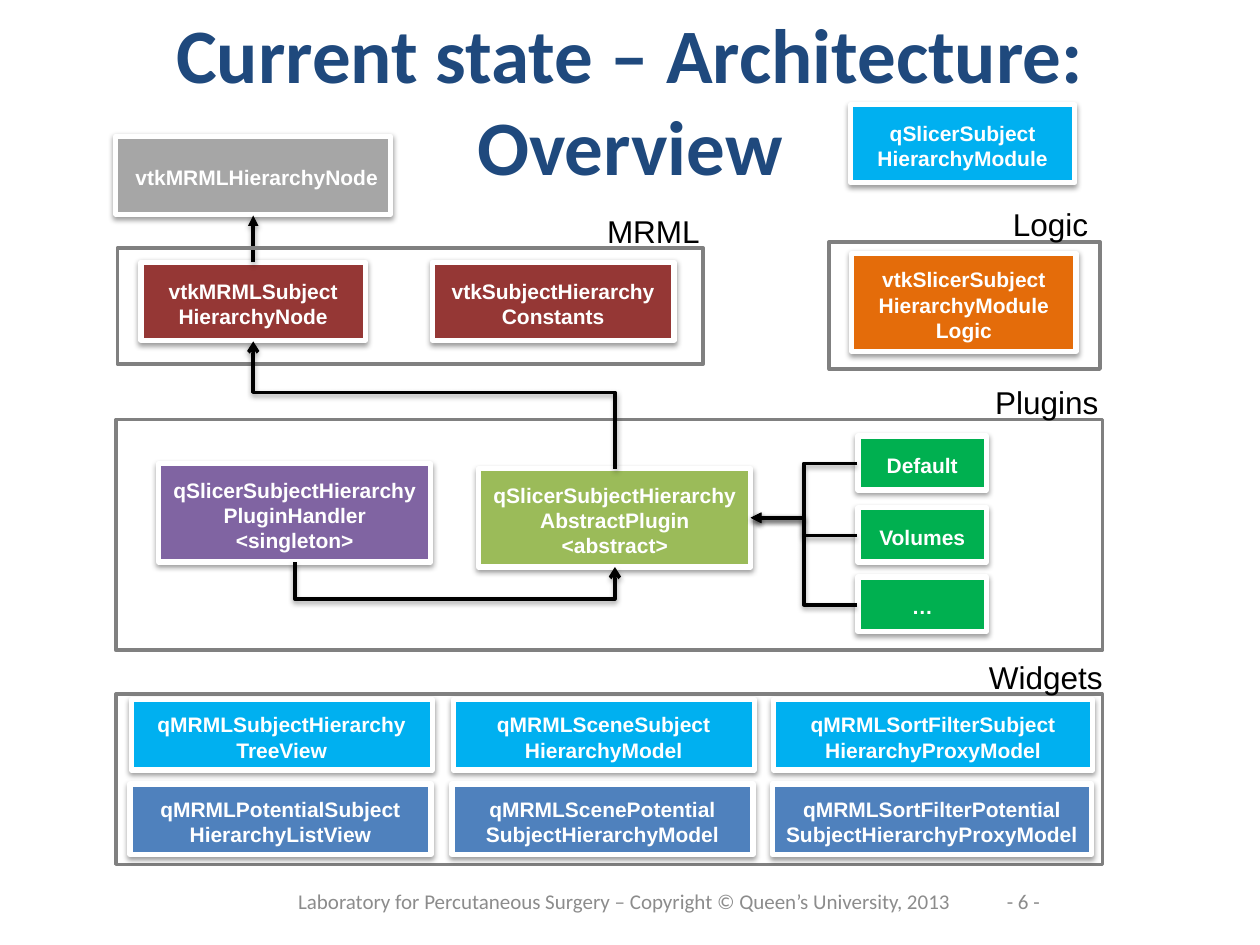
import pptx
import pptx.util
import pptx.dml.color
import pptx.enum.shapes
import pptx.enum.text
import pptx.oxml
import pptx.oxml.ns
import lxml.etree

Pt = pptx.util.Pt
Align = pptx.enum.text.PP_ALIGN
Anchor = pptx.enum.text.MSO_ANCHOR
Connector = pptx.enum.shapes.MSO_CONNECTOR
Rectangle = pptx.enum.shapes.MSO_SHAPE.RECTANGLE
qn = pptx.oxml.ns.qn

SHADOW = (
    '<a:effectLst xmlns:a="http://schemas.openxmlformats.org/drawingml/2006/main">'
    '<a:outerShdw blurRad="40000" dist="20000" dir="5400000" rotWithShape="0">'
    '<a:srgbClr val="000000"><a:alpha val="38000"/></a:srgbClr>'
    '</a:outerShdw></a:effectLst>'
)


def color(value):
    return pptx.dml.color.RGBColor.from_string(value)


class Diagram:
    font = "Arial"
    white, black, gray = "FFFFFF", "000000", "808080"

    def __init__(self, page):
        self.page = page

    def fill_text(self, holder, text, size, ink, font=None, bold=False,
                  align=Align.CENTER, anchor=Anchor.MIDDLE):
        frame = holder.text_frame
        frame.auto_size = pptx.enum.text.MSO_AUTO_SIZE.NONE
        frame.word_wrap = True
        frame.vertical_anchor = anchor
        para = frame.paragraphs[0]
        para.text = text.replace("\n", "\v")
        para.alignment = align
        para.font.name = font or self.font
        para.font.size = Pt(size)
        para.font.bold = bold
        para.font.color.rgb = color(ink)
        return frame

    def title(self, text, left, top, width, height):
        holder = self.page.shapes.title
        holder.left, holder.top = Pt(left), Pt(top)
        holder.width, holder.height = Pt(width), Pt(height)
        self.fill_text(holder, text, 44, "1F497D", "Calibri", True, anchor=Anchor.TOP)

    def text(self, text, left, top, width, height, size, ink, **style):
        holder = self.page.shapes.add_textbox(Pt(left), Pt(top), Pt(width), Pt(height))
        return self.fill_text(holder, text, size, ink, **style)

    def rectangle(self, left, top, width, height, line, weight):
        box = self.page.shapes.add_shape(Rectangle, Pt(left), Pt(top), Pt(width), Pt(height))
        box.shadow.inherit = False
        box.fill.background()
        box.line.color.rgb = color(line)
        box.line.width = Pt(weight)
        return box

    def shade(self, shape):
        properties = shape._element.spPr
        for effect in properties.findall(qn("a:effectLst")):
            properties.remove(effect)
        properties.append(pptx.oxml.parse_xml(SHADOW))

    def node(self, text, fill, left, top, width, height, align=Align.CENTER):
        box = self.rectangle(left, top, width, height, self.white, 3)
        box.fill.solid()
        box.fill.fore_color.rgb = color(fill)
        self.shade(box)
        frame = self.fill_text(box, text, 12, self.white, bold=True, align=align)
        frame.margin_left = frame.margin_right = Pt(0 if align == Align.CENTER else 7.2)
        frame.margin_top, frame.margin_bottom = Pt(2.5), Pt(0)

    def group(self, label, left, top, width, height, label_left, label_width):
        self.rectangle(left, top, width, height, self.gray, 2)
        frame = self.text(label, label_left, top - 24.4, label_width, 28.8, 18,
                          self.black, align=Align.LEFT, anchor=Anchor.TOP)
        frame.word_wrap = False

    def arrow(self, begin, end, head="triangle", bend=None, upright=False):
        (x1, y1), (x2, y2) = begin, end
        if upright:
            middle_x, middle_y = (x1 + x2) / 2, (y1 + y2) / 2
            across, down = y1 - y2, x2 - x1
            x1, x2 = middle_x - across / 2, middle_x + across / 2
            y1, y2 = middle_y - down / 2, middle_y + down / 2
        kind = Connector.STRAIGHT if bend is None else Connector.ELBOW
        link = self.page.shapes.add_connector(kind, Pt(x1), Pt(y1), Pt(x2), Pt(y2))
        link.line.color.rgb = color(self.black)
        link.line.width = Pt(2)
        properties = link._element.spPr
        lxml.etree.SubElement(properties.find(qn("a:ln")), qn("a:tailEnd"), type=head)
        if upright:
            properties.find(qn("a:xfrm")).set("rot", "16200000")
        if bend is not None:
            guides = properties.find(qn("a:prstGeom")).find(qn("a:avLst"))
            lxml.etree.SubElement(guides, qn("a:gd"), name="adj1",
                                  fmla=f"val {round(bend * 100000)}")
        self.shade(link)


deck = pptx.Presentation()
deck.slide_width, deck.slide_height = Pt(720), Pt(540)
page = deck.slides.add_slide(deck.slide_layouts[5])
diagram = Diagram(page)

FOOTER = "Laboratory for Percutaneous Surgery – Copyright © Queen’s University, 2013"
for text, left, width in (("- 6 -", 563.8, 41.8), (FOOTER, 149.8, 414)):
    diagram.text(text, left, 500.4, width, 28.8, 12, "8C8C8C", font="Calibri")
diagram.title("Current state – Architecture: Overview", 36, 0, 648, 72.7)

RED, CYAN, BLUE, GREEN = "953735", "00B0F0", "4F81BD", "00B050"

diagram.node("vtkMRMLHierarchyNode", "A6A6A6", 66.2, 77.8, 157, 44.6, Align.RIGHT)
diagram.node("vtkMRMLSubject\nHierarchyNode", RED, 80.6, 149.8, 128.2, 44.6)
diagram.arrow((144.7, 149.8), (144.7, 123.1))
diagram.node("vtkSubjectHierarchy\nConstants", RED, 247, 149.8, 138.2, 44.6)
diagram.group("MRML", 67, 141.8, 334.8, 66.2, 339.8, 68.4)

diagram.node("qSlicerSubject\nHierarchyModule", CYAN, 486, 59.8, 128.2, 44.6)
diagram.node("vtkSlicerSubject\nHierarchyModule\nLogic", "E46C0A", 486.7, 144.7, 128.2, 56.2)
diagram.group("Logic", 473.8, 138.2, 154.8, 72.7, 571.7, 58.3)

diagram.node("qSlicerSubjectHierarchy\nPluginHandler\n<singleton>", "8064A2",
             90.7, 265, 155.5, 56.2)
diagram.group("Plugins", 66.2, 239.8, 563.8, 131.8, 561.6, 74.2)
diagram.node("qSlicerSubjectHierarchy\nAbstractPlugin\n<abstract>", "9BBB59",
             273.6, 267.8, 155.5, 56.2)
diagram.arrow((168.5, 321.2), (351.4, 324), "arrow", 7.5, True)
diagram.arrow((351.4, 267.8), (144.7, 195.1), "arrow", 0.6, True)
for text, top in (("Default", 249.1), ("Volumes", 290.2), ("…", 329.8)):
    diagram.node(text, GREEN, 490.3, top, 73.4, 31)
    diagram.arrow((489.6, top + 15.8), (429.1, 295.9), bend=0.5)

diagram.group("Widgets", 66.2, 396.7, 563.8, 97.2, 558, 79.9)
widgets = (
    (75, 172, "qMRMLSubjectHierarchy\nTreeView",
     "qMRMLPotentialSubject\nHierarchyListView"),
    (259, 172, "qMRMLSceneSubject\nHierarchyModel",
     "qMRMLScenePotential\nSubjectHierarchyModel"),
    (442, 182.5, "qMRMLSortFilterSubject\nHierarchyProxyModel",
     "qMRMLSortFilterPotential\nSubjectHierarchyProxyModel"),
)
for left, width, current, potential in widgets:
    diagram.node(current, CYAN, left, 399.8, width, 40.3)
    diagram.node(potential, BLUE, left - 0.7, 448, width, 40.3)

deck.save("out.pptx")
